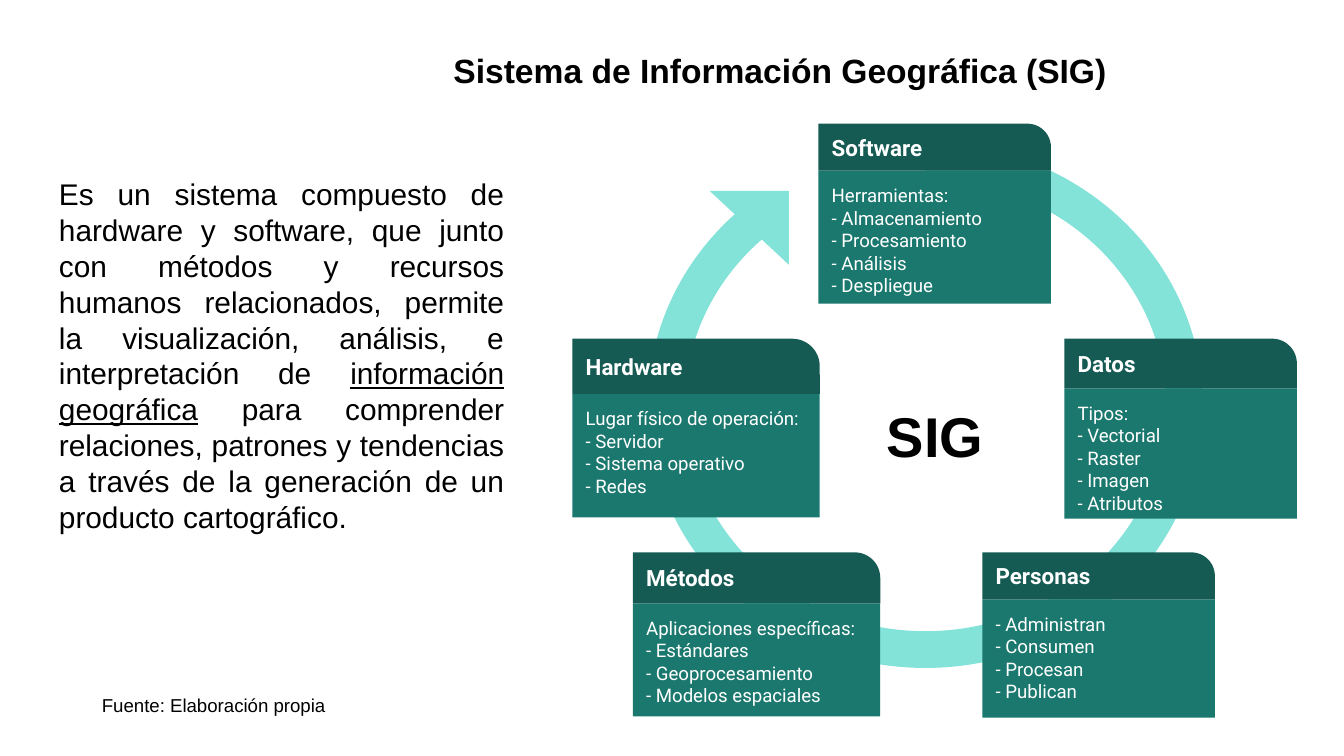
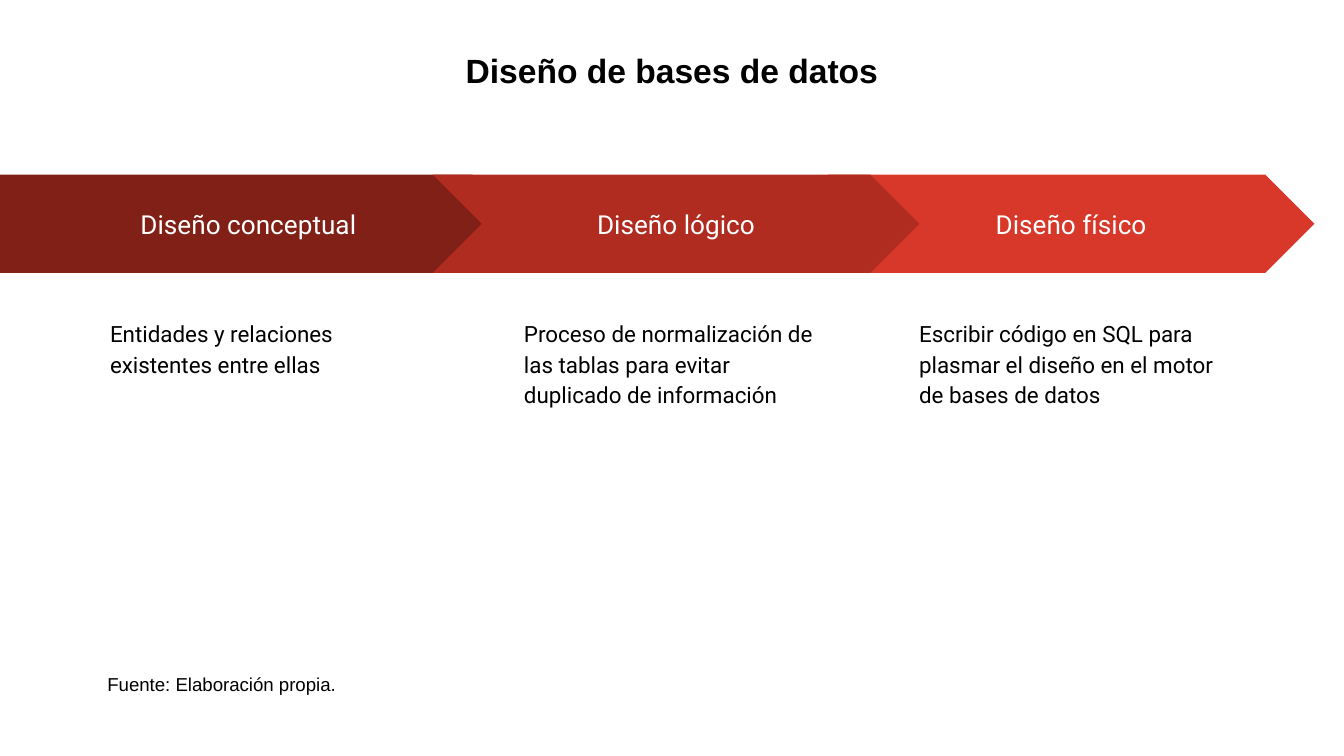
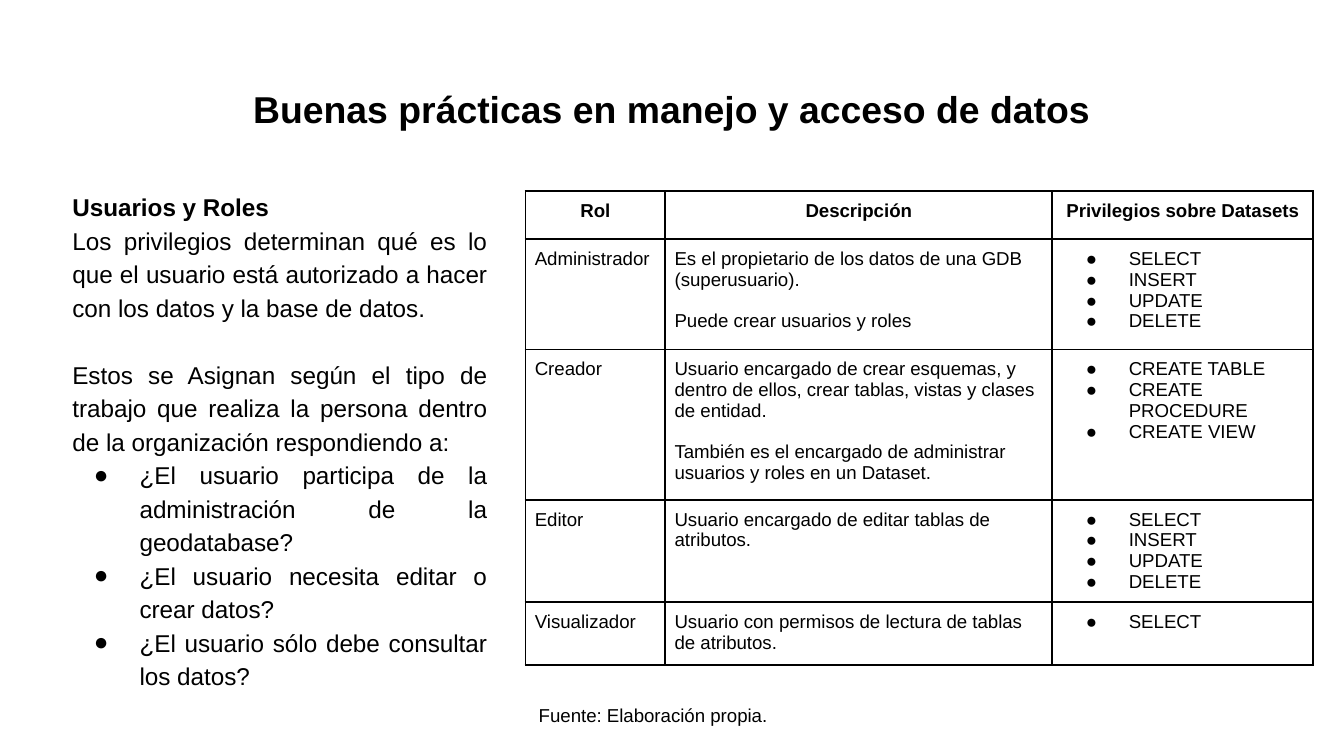
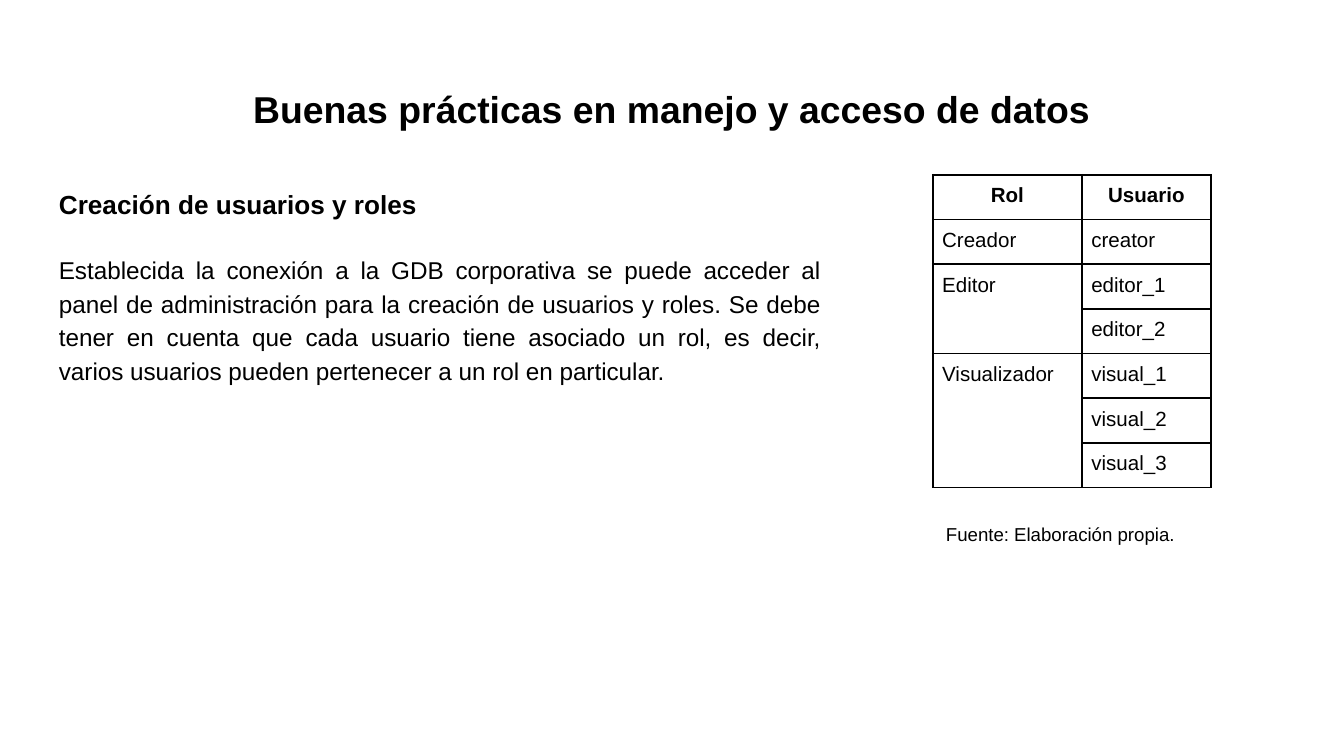
from lxml import etree
from pptx import Presentation
from pptx.dml.color import RGBColor
from pptx.enum.shapes import MSO_SHAPE
from pptx.enum.text import MSO_ANCHOR, PP_ALIGN
from pptx.oxml.ns import qn
from pptx.util import Inches, Pt

LEFT, CENTER, JUSTIFY = PP_ALIGN.LEFT, PP_ALIGN.CENTER, PP_ALIGN.JUSTIFY
TOP, MIDDLE = MSO_ANCHOR.TOP, MSO_ANCHOR.MIDDLE
RECT, ROUND_CORNER = MSO_SHAPE.RECTANGLE, MSO_SHAPE.ROUND_1_RECTANGLE
ARC, TRIANGLE = MSO_SHAPE.BLOCK_ARC, MSO_SHAPE.RIGHT_TRIANGLE
CHEVRON, PENTAGON = MSO_SHAPE.CHEVRON, MSO_SHAPE.PENTAGON

COLORS = {
    "text": "000000", "white": "FFFFFF",
    "ring": "83E3D9", "card": "1B786E", "card head": "155B54",
    "conceptual": "802017", "logical": "B02C20", "physical": "D83829",
}

# ---- Content: GIS components ----
GIS_TITLE = "Sistema de Información Geográfica (SIG)"
# Every second part is underlined
GIS_DEFINITION = (
    "Es un sistema compuesto de hardware y software, que junto con métodos y "
    "recursos humanos relacionados, permite la visualización, análisis, e "
    "interpretación de ",
    "información geográfica",
    " para comprender relaciones, patrones y tendencias a través de la "
    "generación de un producto cartográfico.",
)
# Heading, left, top, width, heading height, body height, lines
COMPONENTS = [
    ("Software", 6.09, 0.92, 1.73, 0.35, 0.99,
     ["Herramientas:", "- Almacenamiento", "- Procesamiento", "- Análisis", "- Despliegue"]),
    ("Hardware", 4.26, 2.52, 1.84, 0.41, 0.92,
     ["Lugar físico de operación:", "- Servidor", "- Sistema operativo", "- Redes"]),
    ("Personas", 7.31, 4.11, 1.73, 0.35, 0.88,
     ["- Administran", "- Consumen", "- Procesan", "- Publican"]),
    ("Métodos", 4.71, 4.11, 1.84, 0.38, 0.84,
     ["Aplicaciones específicas:", "- Estándares", "- Geoprocesamiento",
      "- Modelos espaciales"]),
    ("Datos", 7.92, 2.52, 1.73, 0.37, 0.97,
     ["Tipos:", "- Vectorial", "- Raster", "- Imagen", "- Atributos"]),
]

# ---- Content: database design ----
DESIGN_TITLE = "Diseño de bases de datos"
# Name, outline, colour, left, width, left of the caption, caption; back to front
STAGES = [
    ("Diseño físico", CHEVRON, "physical", 6.16, 3.62, 6.74,
     "Escribir código en SQL para plasmar el diseño en el motor de bases de datos"),
    ("Diseño conceptual", PENTAGON, "conceptual", 0, 3.88, 0.72,
     "Entidades y relaciones existentes entre ellas"),
    ("Diseño lógico", CHEVRON, "logical", 3.22, 3.62, 3.8,
     "Proceso de normalización de las tablas para evitar duplicado de información"),
]

# ---- Content: users and roles ----
PRACTICES_TITLE = "Buenas prácticas en manejo y acceso de datos"
ROLES_TEXT = [
    {"text": "Usuarios y Roles", "bold": True},
    "Los privilegios determinan qué es lo que el usuario está autorizado a hacer "
    "con los datos y la base de datos.",
    {"text": "Estos se Asignan según el tipo de trabajo que realiza la persona "
             "dentro de la organización respondiendo a:", "gap": 18},
] + [{"text": question, "hang": 0.34} for question in (
    "¿El usuario participa de la administración de la geodatabase?",
    "¿El usuario necesita editar o crear datos?",
    "¿El usuario sólo debe consultar los datos?",
)]


def privileges(*names):
    return [{"text": name, "hang": 0.32} for name in names]


EDITING = privileges("SELECT", "INSERT", "UPDATE", "DELETE")
ROLES_TABLE = [
    ["Rol", "Descripción", "Privilegios sobre Datasets"],
    ["Administrador",
     ["Es el propietario de los datos de una GDB (superusuario).",
      {"text": "Puede crear usuarios y roles", "gap": 11}],
     EDITING],
    ["Creador",
     ["Usuario encargado de crear esquemas, y dentro de ellos, crear tablas, "
      "vistas y clases de entidad.",
      {"text": "También es el encargado de administrar usuarios y roles en un Dataset.",
       "gap": 11}],
     privileges("CREATE TABLE", "CREATE PROCEDURE", "CREATE VIEW")],
    ["Editor", "Usuario encargado de editar tablas de atributos.", EDITING],
    ["Visualizador", "Usuario con permisos de lectura de tablas de atributos.",
     privileges("SELECT")],
]

CREATION_TEXT = [
    {"text": "Creación de usuarios y roles", "bold": True, "size": 14, "spacing": 1},
    {"text": "Establecida la conexión a la GDB corporativa se puede acceder al panel "
             "de administración para la creación de usuarios y roles. Se debe tener en "
             "cuenta que cada usuario tiene asociado un rol, es decir, varios usuarios "
             "pueden pertenecer a un rol en particular.", "gap": 17},
]
ROLE_USERS = {
    "Creador": ["creator"],
    "Editor": ["editor_1", "editor_2"],
    "Visualizador": ["visual_1", "visual_2", "visual_3"],
}
SOURCE = "Fuente: Elaboración propia"


# ---- Shared helpers ----
def rgb(name):
    return RGBColor.from_string(COLORS[name])


def add_bullet(paragraph, hang):
    properties = paragraph._p.get_or_add_pPr()
    properties.set("marL", str(Inches(0.5)))
    properties.set("indent", str(-Inches(hang)))
    color = etree.SubElement(properties, qn("a:buClr"))
    etree.SubElement(color, qn("a:srgbClr"), val=COLORS["text"])
    etree.SubElement(properties, qn("a:buFont"), typeface="Arial")
    etree.SubElement(properties, qn("a:buChar"), char="●")


def write(frame, content, size, color="text", font="Arial", bold=False,
          align=LEFT, spacing=1):
    """Fill a frame; an item is a string or a dict with its own settings."""
    items = content if isinstance(content, list) else [content]
    for index, item in enumerate(items):
        if not isinstance(item, dict):
            item = {"text": item}
        paragraph = frame.paragraphs[0] if index == 0 else frame.add_paragraph()
        if "hang" in item:
            add_bullet(paragraph, item["hang"])
        paragraph.alignment = align
        paragraph.line_spacing = item.get("spacing", spacing)
        paragraph.space_before = Pt(item.get("gap", 0))
        parts = item["text"]
        for position, part in enumerate(parts if isinstance(parts, tuple) else (parts,)):
            run = paragraph.add_run()
            run.text = part
            run.font.name = font
            run.font.size = Pt(item.get("size", size))
            run.font.bold = item.get("bold", bold)
            run.font.color.rgb = rgb(color)
            if position % 2:
                run.font.underline = True


def set_frame(frame, anchor=TOP, vertical=0.1):
    frame.word_wrap = True
    frame.vertical_anchor = anchor
    frame.margin_left = frame.margin_right = Inches(0.1)
    frame.margin_top = frame.margin_bottom = Inches(vertical)


def add_text(slide, box, content, size, vertical=0.1, **style):
    frame = slide.shapes.add_textbox(*map(Inches, box)).text_frame
    set_frame(frame, vertical=vertical)
    write(frame, content, size, **style)


def add_block(slide, outline, box, fill, adjustments=()):
    block = slide.shapes.add_shape(outline, *map(Inches, box))
    block.shadow.inherit = False
    block.fill.solid()
    block.fill.fore_color.rgb = rgb(fill)
    block.line.fill.background()
    for index, value in enumerate(adjustments):
        block.adjustments[index] = value
    return block


def label_block(block, content, size, anchor=MIDDLE, **style):
    set_frame(block.text_frame, anchor)
    write(block.text_frame, content, size, color="white", font="Roboto", **style)


def add_slide(deck, title, box, size):
    slide = deck.slides.add_slide(deck.slide_layouts[5])
    heading = slide.shapes.title
    heading.left, heading.top, heading.width, heading.height = map(Inches, box)
    set_frame(heading.text_frame, MIDDLE, 0.05)
    write(heading.text_frame, title, size, bold=True, align=CENTER)
    return slide


def add_practices_slide(deck):
    return add_slide(deck, PRACTICES_TITLE, (0.34, 0.49, 9.32, 0.63), 20)


def add_source(slide, left, top, text=SOURCE + "."):
    add_text(slide, (left, top, 3.28, 0.37), text, 10, align=JUSTIFY)


def add_grid(slide, left, top, widths, heights, rows, size):
    """Table with black borders, no fill and a bold centred first row."""
    box = (left, top, sum(widths), sum(heights))
    grid = slide.shapes.add_table(len(rows), len(widths), *map(Inches, box)).table
    grid.first_row = grid.horz_banding = False
    for column, width in zip(grid.columns, widths):
        column.width = Inches(width)
    for r, (row, height) in enumerate(zip(rows, heights)):
        grid.rows[r].height = Inches(height)
        for c, content in enumerate(row):
            cell = grid.cell(r, c)
            cell.margin_left = cell.margin_right = Inches(0.07)
            cell.margin_top = cell.margin_bottom = Inches(0.07)
            properties = cell._tc.get_or_add_tcPr()
            for side in ("lnL", "lnR", "lnT", "lnB"):
                border = etree.SubElement(properties, qn("a:" + side), w=str(Pt(1)))
                solid = etree.SubElement(border, qn("a:solidFill"))
                etree.SubElement(solid, qn("a:srgbClr"), val=COLORS["text"])
            cell.fill.background()
            if content:
                write(cell.text_frame, content, size, bold=r == 0,
                      align=LEFT if r else CENTER)
    return grid


# ---- Slides ----
def build_components(deck):
    slide = add_slide(deck, GIS_TITLE, (2.97, 0.27, 5.67, 0.5), 18)
    # Circular arrow
    ring = add_block(slide, ARC, (4.82, 1.06, 4.13, 3.91), "ring", (54, 30.13, 0.07))
    arrowhead = add_block(slide, TRIANGLE, (5.28, 1.42, 0.59, 0.55), "ring")
    ring.rotation = arrowhead.rotation = 180
    # Component cards
    for name, left, top, width, head_height, body_height, lines in COMPONENTS:
        body = add_block(slide, RECT, (left, top + head_height, width, body_height), "card")
        label_block(body, lines, 10, TOP)
        head = add_block(slide, ROUND_CORNER, (left, top, width, head_height),
                         "card head", (0.5,))
        label_block(head, name, 12, bold=True)
    add_text(slide, (0.34, 1.26, 3.51, 3.74), GIS_DEFINITION, 16,
             vertical=0.05, align=JUSTIFY)
    add_text(slide, (6.5, 2.89, 1.02, 0.78), "SIG", 30, bold=True)
    add_source(slide, 0.66, 5.08, SOURCE)


def build_design(deck):
    slide = add_slide(deck, DESIGN_TITLE, (2.75, 0.27, 4.5, 0.5), 18)
    for name, outline, color, left, width, caption_left, caption in STAGES:
        stage = add_block(slide, outline, (left, 1.3, width, 0.73), color, (0.5,))
        label_block(stage, name, 14, align=CENTER)
        add_text(slide, (caption_left, 2.25, 2.45, 2.86), caption, 12,
                 font="Roboto", spacing=1.15)
    add_source(slide, 0.7, 4.92)


def build_roles(deck):
    slide = add_practices_slide(deck)
    add_grid(slide, 3.91, 1.42, (1.04, 2.88, 1.94), (0.36, 0.82, 1.12, 0.62, 0.47),
             ROLES_TABLE, 10)
    add_text(slide, (0.44, 1.3, 3.28, 3.85), ROLES_TEXT, 13, align=JUSTIFY, spacing=1.15)
    add_source(slide, 3.91, 5.15)


def build_creation(deck):
    slide = add_practices_slide(deck)
    add_text(slide, (0.34, 1.3, 5.86, 2), CREATION_TEXT, 13, align=JUSTIFY, spacing=1.15)
    rows = [["Rol", "Usuario"]]
    for role, users in ROLE_USERS.items():
        rows += [["" if index else role, user] for index, user in enumerate(users)]
    grid = add_grid(slide, 6.94, 1.3, (1.11, 0.96), [2.33 / len(rows)] * len(rows),
                    rows, 11)
    # One role cell spans all its users
    first = 1
    for users in ROLE_USERS.values():
        if len(users) > 1:
            grid.cell(first, 0).merge(grid.cell(first + len(users) - 1, 0))
        first += len(users)
    add_source(slide, 6.94, 3.81)


def main():
    deck = Presentation()
    # Widescreen, 16:9
    deck.slide_width = Inches(10)
    deck.slide_height = deck.slide_width * 9 // 16
    for build in (build_components, build_design, build_roles, build_creation):
        build(deck)
    deck.save("out.pptx")


if __name__ == "__main__":
    main()
